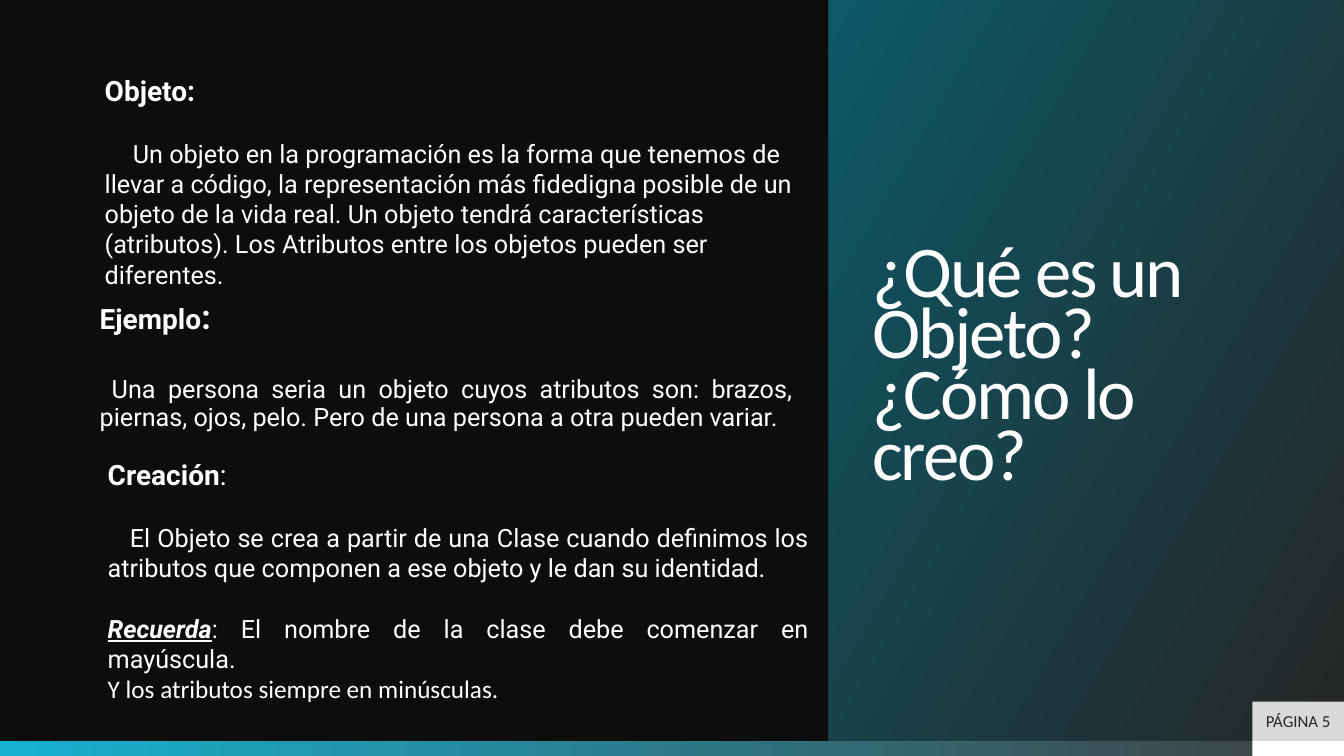
from dataclasses import dataclass

from pptx import Presentation
from pptx import util as u
from pptx.dml.color import RGBColor
from pptx.enum import shapes, text

WHITE = RGBColor(0xFF, 0xFF, 0xFF)
BLACK = RGBColor(0x0D, 0x0D, 0x0D)
CHARCOAL = RGBColor(0x26, 0x26, 0x26)
GRAY = RGBColor(0x40, 0x40, 0x40)
LIGHT_GRAY = RGBColor(0xD9, 0xD9, 0xD9)
CYAN = RGBColor(0x17, 0xB2, 0xD1)
TEAL = RGBColor(0x0C, 0x59, 0x68)

WIDTH, HEIGHT = 13.33, 7.5
STRIP_TOP = 7.35
PANEL_LEFT = 8.22
PAGE_LEFT = 12.42
PAGE_TOP = 6.96


@dataclass(frozen=True)
class Box:
    left: float
    top: float
    width: float
    height: float

    def lengths(self) -> list:
        return [u.Inches(n) for n in (self.left, self.top, self.width, self.height)]


@dataclass(frozen=True)
class Run:
    words: str
    size: float = 18
    bold: bool = False
    italic: bool = False
    underline: bool = False
    font: str = "Roboto"
    color: RGBColor = WHITE


@dataclass(frozen=True)
class Line:
    runs: tuple[Run, ...]
    before: float = 0
    indent: float = 0
    align: text.PP_ALIGN = text.PP_ALIGN.LEFT
    spacing: float = 1.0


@dataclass(frozen=True)
class Section:
    box: Box
    lines: tuple[Line, ...]


JUSTIFY = text.PP_ALIGN.JUSTIFY

SECTIONS = (
    Section(Box(0.94, 0.68, 7.27, 2.26), (
        Line((Run("Objeto:", 20, bold=True),)),
        Line((Run("Un objeto en la programación es la forma que tenemos de llevar a código, "
                  "la representación más fidedigna posible de un objeto de la vida real. "
                  "Un objeto tendrá características (atributos). Los Atributos entre los "
                  "objetos pueden ser diferentes."),), before=22, indent=0.28),
    )),
    Section(Box(0.89, 2.93, 7.07, 1.7), (
        Line((Run("Ejemplo", 20, bold=True), Run(":", 24, bold=True)),
             align=JUSTIFY, spacing=0.9),
        Line((Run("Una persona seria un objeto cuyos atributos son: brazos, piernas, ojos, "
                  "pelo. Pero de una persona a otra pueden variar."),),
             before=29, indent=0.12, align=JUSTIFY, spacing=0.9),
    )),
    Section(Box(0.97, 4.49, 7.15, 2.56), (
        Line((Run("Creación", 20, bold=True), Run(":", 20))),
        Line((Run("El Objeto se crea a partir de una Clase cuando definimos los atributos "
                  "que componen a ese objeto y le dan su identidad."),),
             before=22, indent=0.22, align=JUSTIFY),
        Line((Run("Recuerda", bold=True, italic=True, underline=True),
              Run(": El nombre de la clase debe comenzar en mayúscula.")),
             before=22, align=JUSTIFY),
        Line((Run("Y los atributos siempre en minúsculas.", font="Calibri"),)),
    )),
)


def add_block(slide, box: Box):
    """Add a rectangle without line or shadow."""
    shape = slide.shapes.add_shape(shapes.MSO_SHAPE.RECTANGLE, *box.lengths())
    shape.shadow.inherit = False
    shape.line.fill.background()
    return shape


def fill_solid(shape, color: RGBColor) -> None:
    shape.fill.solid()
    shape.fill.fore_color.rgb = color


def fill_gradient(shape, start: RGBColor, end: RGBColor, angle: float) -> None:
    shape.fill.gradient()
    shape.fill.gradient_angle = angle
    for stop, color, position in zip(shape.fill.gradient_stops, (start, end), (0, 1)):
        stop.color.rgb = color
        stop.position = position


def write_lines(frame, lines: tuple[Line, ...]) -> None:
    frame.word_wrap = True
    for index, line in enumerate(lines):
        paragraph = frame.add_paragraph() if index else frame.paragraphs[0]
        paragraph.alignment = line.align
        paragraph.line_spacing = line.spacing
        paragraph.space_before = u.Pt(line.before)
        if line.indent:
            paragraph._p.get_or_add_pPr().set("indent", str(u.Inches(line.indent)))
        for item in line.runs:
            run = paragraph.add_run()
            run.text = item.words
            run.font.name = item.font
            run.font.size = u.Pt(item.size)
            run.font.bold = item.bold
            run.font.italic = item.italic
            run.font.underline = item.underline
            run.font.color.rgb = item.color


def add_title(slide) -> None:
    panel = add_block(slide, Box(PANEL_LEFT, 0, WIDTH - PANEL_LEFT, STRIP_TOP))
    fill_gradient(panel, CHARCOAL, TEAL, 150)
    frame = panel.text_frame
    frame.margin_left, frame.margin_right = u.Inches(0.43), u.Inches(0.7)
    frame.vertical_anchor = text.MSO_ANCHOR.MIDDLE
    title = Run("¿Qué es un Objeto? ¿Cómo lo creo?", 52, font="Calibri")
    write_lines(frame, (Line((title,), spacing=0.7),))
    frame.paragraphs[0].runs[0].font._element.set("spc", "-150")


def add_page_number(slide) -> None:
    tab = add_block(slide, Box(PAGE_LEFT, PAGE_TOP, WIDTH - PAGE_LEFT, STRIP_TOP - PAGE_TOP))
    fill_solid(tab, LIGHT_GRAY)
    tab.text_frame.vertical_anchor = text.MSO_ANCHOR.MIDDLE
    label = Run("PÁGINA 5", 12, font="Calibri", color=CHARCOAL)
    write_lines(tab.text_frame, (Line((label,), align=text.PP_ALIGN.CENTER),))


def main() -> None:
    presentation = Presentation()
    presentation.slide_width = u.Inches(WIDTH)
    presentation.slide_height = u.Inches(HEIGHT)
    slide = presentation.slides.add_slide(presentation.slide_layouts[6])
    fill_solid(slide.background, BLACK)

    strip_height = HEIGHT - STRIP_TOP
    strip = add_block(slide, Box(0, STRIP_TOP, WIDTH, strip_height))
    fill_gradient(strip, CYAN, GRAY, 0)
    corner = add_block(slide, Box(PAGE_LEFT, STRIP_TOP, WIDTH - PAGE_LEFT, strip_height))
    fill_solid(corner, WHITE)

    add_title(slide)
    add_page_number(slide)
    for section in SECTIONS:
        textbox = slide.shapes.add_textbox(*section.box.lengths())
        write_lines(textbox.text_frame, section.lines)

    presentation.save("out.pptx")


if __name__ == "__main__":
    main()
